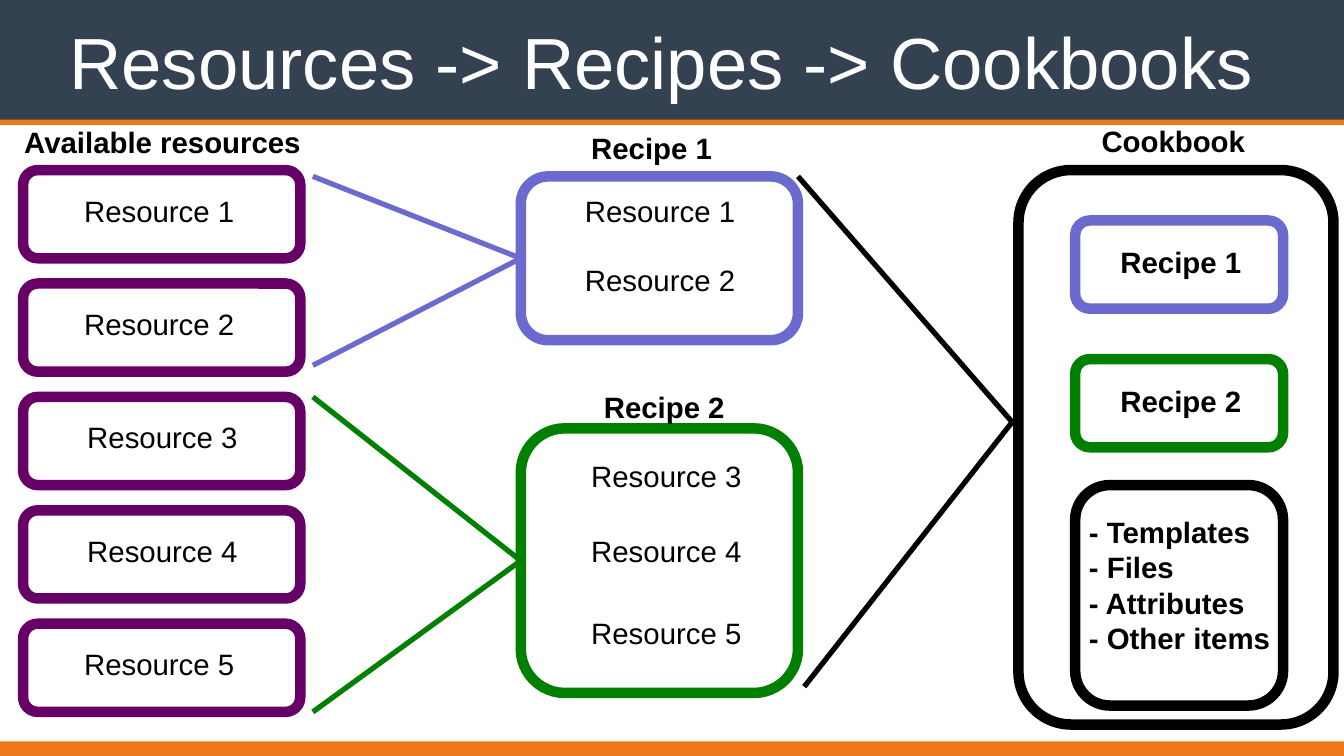
import pptx
import pptx.util
import pptx.dml.color
import pptx.enum.shapes
import pptx.enum.text
import lxml.etree

PX = 12700  # EMU per px on a 1280 x 720 grid
SHAPES = pptx.enum.shapes.MSO_SHAPE
A = "http://schemas.openxmlformats.org/drawingml/2006/main"
NAVY, ORANGE, WHITE, BLACK = "334150", "ED781C", "FFFFFF", "000000"
PURPLE, BLUE, GREEN = "660066", "6B6BCF", "008000"


def color(value):
    return pptx.dml.color.RGBColor.from_string(value)


def add_text(words, left, top, width, height, **changes):
    box = slide.shapes.add_textbox(left * PX, top * PX, width * PX, height * PX)
    box.text_frame.word_wrap = True
    box.text_frame.text = words
    font_format = {"name": "Arial", "size": pptx.util.Pt(28), "bold": False} | changes
    for paragraph in box.text_frame.paragraphs:
        for run in paragraph.runs:
            for attribute, value in font_format.items():
                setattr(run.font, attribute, value)
            run.font.color.rgb = color(BLACK)
    return box


deck = pptx.Presentation()
deck.slide_width, deck.slide_height = 1280 * PX, 720 * PX
slide = deck.slides.add_slide(deck.slide_layouts[6])

# Header, stripe and footer
for top, height, fill in [(0, 118, NAVY), (114, 5, ORANGE), (706, 14, ORANGE)]:
    band = slide.shapes.add_shape(SHAPES.RECTANGLE, 0, top * PX, 1280 * PX, height * PX)
    band.shadow.inherit = False
    band.fill.solid()
    band.fill.fore_color.rgb = color(fill)
    band.line.fill.background()

# Title with a text shadow
title = add_text("Resources -> Recipes -> Cookbooks", 63, 14, 1154, 88, size=pptx.util.Pt(69))
frame_format = {"vertical_anchor": pptx.enum.text.MSO_ANCHOR.BOTTOM}
frame_format |= {f"margin_{side}": 3 * PX for side in ("left", "top", "right", "bottom")}
for attribute, value in frame_format.items():
    setattr(title.text_frame, attribute, value)
title_run = title.text_frame.paragraphs[0].runs[0]
title_run.font.color.rgb = color(WHITE)
title_fill = title_run.font.fill._xPr.find(f"{{{A}}}solidFill")
title_fill.addnext(lxml.etree.fromstring(
    f'<a:effectLst xmlns:a="{A}"><a:outerShdw blurRad="38100" dist="38100" dir="2700000">'
    '<a:srgbClr val="000000"/></a:outerShdw></a:effectLst>'))

# Rounded boxes: five resources, two recipes, the cookbook and its contents
outlines = [(22, 162 + 108 * row, 264, 84, PURPLE) for row in range(5)]
outlines += [
    (496, 168, 264, 156, BLUE),
    (496, 408, 264, 252, GREEN),
    (970, 162, 300, 528, BLACK),
    (1024, 210, 198, 84, BLUE),
    (1024, 342, 198, 84, GREEN),
    (1024, 462, 198, 210, BLACK),
]
boxes = []
for left, top, width, height, outline in outlines:
    box = slide.shapes.add_shape(
        SHAPES.ROUNDED_RECTANGLE, left * PX, top * PX, width * PX, height * PX)
    box.shadow.inherit = False
    box.fill.background()
    box.line.color.rgb = color(outline)
    box.line.width = pptx.util.Pt(10)
    boxes.append(box)
recipe_1, recipe_2 = boxes[5:7]

# Lines from resources to recipes and from recipes to the cookbook
for start, end, stroke, target in [
    ((298, 168), (496, 246), BLUE, recipe_1),
    ((298, 348), (496, 246), BLUE, recipe_1),
    ((298, 378), (496, 534), GREEN, recipe_2),
    ((298, 678), (496, 534), GREEN, recipe_2),
    ((760, 168), (964, 402), BLACK, None),
    ((766, 654), (964, 402), BLACK, None),
]:
    link = slide.shapes.add_connector(
        pptx.enum.shapes.MSO_CONNECTOR.STRAIGHT, *(n * PX for n in start + end))
    link.line.color.rgb = color(stroke)
    link.line.width = pptx.util.Pt(5)
    lxml.etree.SubElement(link._element.spPr, f"{{{A}}}effectLst")
    if target:
        link.end_connect(target, 1)

# Resource names, in the list and inside the recipes
for number, left, top in [
    (1, 73, 180), (2, 73, 288), (3, 76, 396), (4, 76, 504), (5, 73, 612),
    (1, 550, 180), (2, 550, 246),
    (3, 556, 433), (4, 556, 504), (5, 556, 582),
]:
    add_text(f"Resource {number}", left, top, 162, 41)

# Headings and cookbook contents
for words, left, top, width, height in [
    ("Available resources", 16, 115, 342, 41),
    ("Recipe 1", 556, 120, 138, 41),
    ("Recipe 2", 568, 367, 138, 41),
    ("Cookbook", 1042, 114, 162, 41),
    ("Recipe 1", 1060, 229, 138, 41),
    ("Recipe 2", 1060, 361, 138, 41),
    ("- Templates\n- Files\n- Attributes\n- Other items", 1030, 486, 204, 143),
]:
    add_text(words, left, top, width, height, bold=True)

deck.save("out.pptx")
